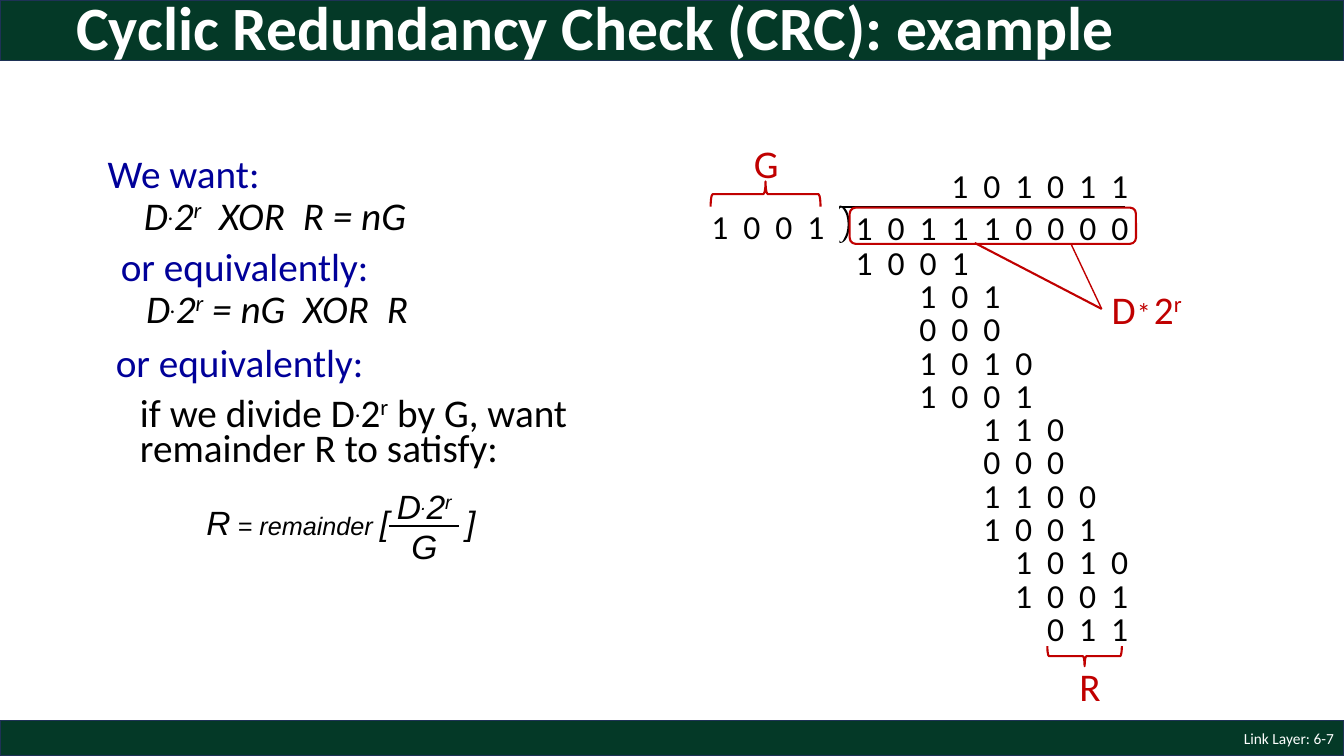
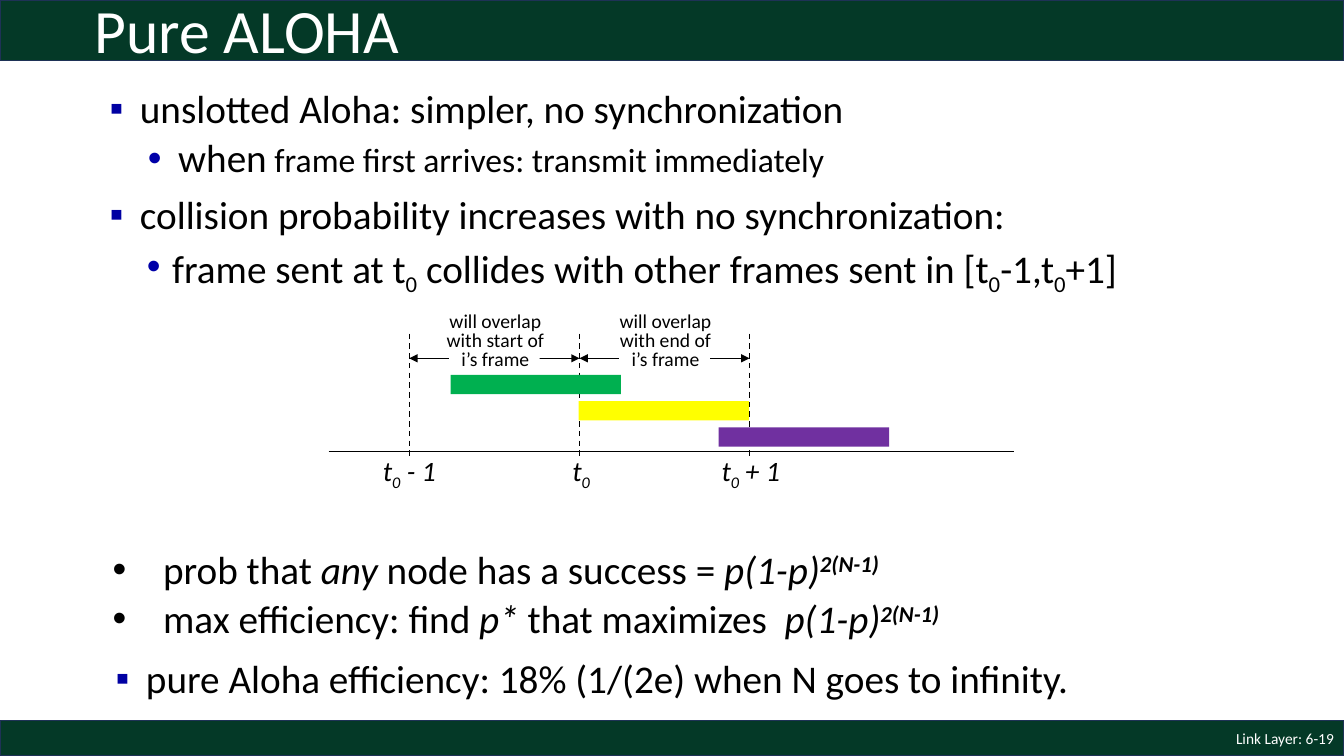
from dataclasses import dataclass
from typing import Optional, Sequence, Union

from lxml.etree import SubElement
from pptx import Presentation
from pptx.dml.color import RGBColor
from pptx.enum.dml import MSO_LINE
from pptx.enum.shapes import MSO_CONNECTOR, MSO_SHAPE
from pptx.enum.text import MSO_ANCHOR, PP_ALIGN
from pptx.oxml.ns import qn
from pptx.util import Emu, Inches, Pt

CELL = Inches(0.1)
COLUMNS, ROWS = 400 / 3, 75

BAND_GREEN = RGBColor(0x04, 0x39, 0x27)
BAND_EDGE = RGBColor(0x1E, 0x32, 0x56)
WHITE = RGBColor(0xFF, 0xFF, 0xFF)
BLACK = RGBColor(0x00, 0x00, 0x00)
NAVY = RGBColor(0x00, 0x00, 0x99)
CRIMSON = RGBColor(0xC0, 0x00, 0x00)
SQUARE_BLUE = RGBColor(0x00, 0x00, 0xA3)
DOT_BLUE = RGBColor(0x00, 0x00, 0xA8)
FRAME_GREEN = RGBColor(0x00, 0xB0, 0x50)
FRAME_YELLOW = RGBColor(0xFF, 0xFF, 0x00)
FRAME_PURPLE = RGBColor(0x70, 0x30, 0xA0)

BODY_FONT, FORMULA_FONT = "Calibri", "Arial"
DIGIT_PITCH = 19 / 6
DIGIT_TRACKING = 2.65
DIVIDEND_COLUMN = 83.9


@dataclass(frozen=True)
class Box:
    column: float
    row: float
    columns: float
    rows: float


@dataclass(frozen=True)
class Span:
    text: str
    italic: bool = False
    bold: bool = False
    base: int = 0
    size: Optional[float] = None
    color: Optional[RGBColor] = None
    tracking: float = 0


@dataclass(frozen=True)
class Para:
    spans: Sequence[Span]
    indent: float = 0
    hang: float = 0
    before: float = 0
    level: int = 0
    bullet: str = ""
    bullet_color: RGBColor = BLACK


@dataclass(frozen=True)
class DigitRow:
    place: int
    digits: str


@dataclass(frozen=True)
class Transmission:
    column: float
    color: RGBColor


@dataclass(frozen=True)
class Instant:
    column: float
    label_column: float
    suffix: str


WIDE_GAP = Span(" ", True, tracking=6.3)


def cells(count: float) -> Emu:
    return Emu(round(count * CELL))


def frame_of(box: Box) -> tuple:
    return cells(box.column), cells(box.row), cells(box.columns), cells(box.rows)


def add_text(slide, box: Box, text: Union[str, Sequence[Para]], *, size: float = 28,
             color: RGBColor = BLACK, font: str = BODY_FONT, bold: bool = False,
             align=PP_ALIGN.LEFT, anchor=MSO_ANCHOR.TOP, spacing: float = 1.0):
    area = slide.shapes.add_textbox(*frame_of(box))
    frame = area.text_frame
    frame.word_wrap = True
    frame.vertical_anchor = anchor
    if isinstance(text, str):
        text = [Para([Span(line, bold=bold)]) for line in text.split("\n")]
    for index, para in enumerate(text):
        paragraph = frame.add_paragraph() if index else frame.paragraphs[0]
        paragraph.alignment = align
        paragraph.line_spacing = spacing
        paragraph.space_before = Pt(para.before)
        paragraph.level = para.level
        format_indent(paragraph, para)
        for span in para.spans:
            run = paragraph.add_run()
            run.text = span.text
            run.font.name = font
            run.font.size = Pt(span.size or size)
            run.font.bold = span.bold
            run.font.italic = span.italic
            run.font.color.rgb = span.color or color
            if span.base:
                run._r.get_or_add_rPr().set("baseline", str(span.base * 1000))
            if span.tracking:
                run._r.get_or_add_rPr().set("spc", str(round(span.tracking * 100)))
    return area


def format_indent(paragraph, para: Para) -> None:
    properties = paragraph._p.get_or_add_pPr()
    properties.set("marL", str(cells(para.indent)))
    properties.set("indent", str(cells(para.hang)))
    if para.bullet:
        tint = SubElement(properties, qn("a:buClr"))
        SubElement(tint, qn("a:srgbClr"), val=str(para.bullet_color))
        SubElement(properties, qn("a:buFont"), typeface=FORMULA_FONT)
        SubElement(properties, qn("a:buChar"), char=para.bullet)
    else:
        SubElement(properties, qn("a:buNone"))


def add_block(slide, box: Box, kind=MSO_SHAPE.RECTANGLE, *, fill: Optional[RGBColor] = None,
              outline: Optional[RGBColor] = None, weight: float = 1.5, rotation: float = 0):
    block = slide.shapes.add_shape(kind, *frame_of(box))
    block.shadow.inherit = False
    block.rotation = rotation
    if fill is None:
        block.fill.background()
    else:
        block.fill.solid()
        block.fill.fore_color.rgb = fill
    if outline is None:
        block.line.fill.background()
    else:
        block.line.color.rgb = outline
        block.line.width = Pt(weight)
    return block


def add_rule(slide, start: tuple, end: tuple, *, color: RGBColor = BLACK,
             weight: float = 1, dashed: bool = False, arrows: bool = False):
    rule = slide.shapes.add_connector(MSO_CONNECTOR.STRAIGHT, *map(cells, start + end))
    rule.line.color.rgb = color
    rule.line.width = Pt(weight)
    if dashed:
        rule.line.dash_style = MSO_LINE.DASH
    if arrows:
        for tip in ("a:headEnd", "a:tailEnd"):
            SubElement(rule.line._get_or_add_ln(), qn(tip), type="triangle")
    SubElement(rule._element.spPr, qn("a:effectLst"))
    return rule


def add_digits(slide, column: float, row: float, digits: str) -> None:
    box = Box(column, row, DIGIT_PITCH * len(digits) + 2, 5)
    spaced = Span(" ".join(digits), tracking=DIGIT_TRACKING)
    add_text(slide, box, [Para([spaced])], size=24)


def start_slide(deck, title: str, number: str, column: float, row: float, bold: bool = False):
    slide = deck.slides.add_slide(deck.slide_layouts[6])
    for top, height in ((0, 6), (ROWS - 3.5, 3.5)):
        add_block(slide, Box(0, top, COLUMNS, height), fill=BAND_GREEN, outline=BAND_EDGE, weight=1)
    add_text(slide, Box(column, row, 115, 9.8), title, size=44, color=WHITE, bold=bold,
             anchor=MSO_ANCHOR.MIDDLE, spacing=0.9)
    add_text(slide, Box(COLUMNS - 30, ROWS - 3.5, 30, 3.5), f"Link Layer: {number}", size=11,
             color=WHITE, align=PP_ALIGN.RIGHT, anchor=MSO_ANCHOR.MIDDLE)
    return slide


def shifted_data(italic: bool = True) -> list:
    return [Span("D", italic), Span(".", italic, base=26), Span("2", italic),
            Span("r", italic, base=30)]


def add_conditions(slide) -> None:
    def heading(text: str, hang: float) -> Para:
        return Para([Span(text, color=NAVY)], 3.9, hang, before=10)

    def formula(*tail: Span) -> Para:
        return Para(shifted_data() + list(tail), 7.6, -2.5, before=5, level=1)

    xor = [WIDE_GAP, Span("XOR", True), WIDE_GAP]
    remainder = Para([Span("if we divide "), *shifted_data(False),
                      Span(" by G, want remainder R to satisfy:")], 5, before=10)
    conditions = (
        (Box(8.2, 15.4, 54.5, 11.4),
         [heading("We want:", -2.4), formula(*xor, Span("R = nG", True))]),
        (Box(8.4, 24.6, 54.5, 9.6),
         [heading("or equivalently:", -1.3), formula(Span(" = nG", True), *xor, Span("R", True))]),
        (Box(7.9, 34.2, 54.5, 13.7), [heading("or equivalently:", -1.3), remainder]),
    )
    for box, paragraphs in conditions:
        add_text(slide, box, paragraphs, spacing=0.75)

    add_text(slide, Box(34.8, 47.7, 14.6, 9), [Para(shifted_data()), Para([Span("G", True)])],
             size=24, font=FORMULA_FONT, align=PP_ALIGN.CENTER)
    add_rule(slide, (38.6, 52.2), (45.5, 52.2), weight=1.5)
    equation = [Span("R", True), Span(" = remainder ", True, size=18), Span("[", True),
                Span(" ", True, size=18, tracking=50), Span("]", True)]
    add_text(slide, Box(19.5, 49.3, 30.5, 5.2), [Para(equation)], size=24, font=FORMULA_FONT)


def add_long_division(slide) -> None:
    add_rule(slide, (83.5, 20.5), (111.6, 20.5), weight=1.5)
    bracket = add_block(slide, Box(81.6, 21.4, 3.5, 1.7), MSO_SHAPE.PIE,
                        outline=BLACK, rotation=270)
    bracket.adjustments[0] = 0
    bracket.adjustments[1] = 107.54
    add_block(slide, Box(83, 20.6, 0.9, 3.4), MSO_SHAPE.OVAL, fill=WHITE)

    add_digits(slide, 69.6, 19.9, "1001")
    add_digits(slide, DIVIDEND_COLUMN + 3 * DIGIT_PITCH, 15.9, "101011")
    add_digits(slide, DIVIDEND_COLUMN, 20, "101110000")
    steps = (
        DigitRow(0, "1001"), DigitRow(2, "101"), DigitRow(2, "000"), DigitRow(2, "1010"),
        DigitRow(2, "1001"), DigitRow(4, "110"), DigitRow(4, "000"), DigitRow(4, "1100"),
        DigitRow(4, "1001"), DigitRow(5, "1010"), DigitRow(5, "1001"), DigitRow(6, "011"),
    )
    for index, step in enumerate(steps):
        add_digits(slide, DIVIDEND_COLUMN + step.place * DIGIT_PITCH, 23.5 + 3.3 * index, step.digits)

    add_block(slide, Box(84.3, 20.6, 28.4, 3.6), MSO_SHAPE.ROUNDED_RECTANGLE, outline=CRIMSON)
    for box, rotation in ((Box(74.7, 13.8, 2.5, 10.9), 270), (Box(106.6, 61.4, 2, 7.4), 90)):
        add_block(slide, box, MSO_SHAPE.RIGHT_BRACE, outline=CRIMSON, rotation=rotation)
    add_text(slide, Box(73.8, 13.3, 5, 5.7), "G", color=CRIMSON)
    add_text(slide, Box(106.1, 65.2, 5, 5.7), "R", color=CRIMSON)
    data_label = add_text(slide, Box(109.3, 27.8, 5, 5.7), "D", color=CRIMSON)
    add_text(slide, Box(111.8, 28.8, 4, 4.4), "*", size=20, color=CRIMSON)
    add_text(slide, Box(113.5, 27.8, 6, 5.7), [Para([Span("2"), Span("r", base=30)])], color=CRIMSON)
    for start, weight in (((96.7, 24.1), 1.5), ((106.3, 24.3), 1)):
        pointer = add_rule(slide, start, (109.3, 30.65), color=CRIMSON, weight=weight)
        pointer.end_connect(data_label, 1)


def add_aloha_points(slide) -> None:
    def topic(text: str) -> Para:
        return Para([Span(text)], 4.4, -3, 10, 0, "▪", SQUARE_BLUE)

    def detail(spans: Sequence[Span], indent: float, hang: float) -> Para:
        return Para(spans, indent, hang, 5, 1, "•", DOT_BLUE)

    zero = Span("0", base=-25)
    arrival = [Span("when"), Span(" frame first arrives: transmit immediately", size=24)]
    collision = [Span("frame sent at t"), zero, Span(" collides with other frames sent in [t"),
                 zero, Span("-1,t"), zero, Span("+1]")]
    add_text(slide, Box(8.5, 8.4, 115, 25.3), [
        topic("unslotted Aloha: simpler, no synchronization"),
        detail(arrival, 8.2, -3),
        topic("collision probability increases with no synchronization:"),
        detail(collision, 7.6, -2.5),
    ], spacing=0.9)

    success = [Span("p(1-p)", True), Span("2(N-1)", True, True, 30)]
    findings = (
        [Span("prob that "), Span("any", True), Span(" node has a success = ")],
        [Span("max efficiency: find "), Span("p* ", True), Span("that maximizes"), WIDE_GAP],
    )
    for index, finding in enumerate(findings):
        add_text(slide, Box(4.5, 53.6 + 4.9 * index, 117.9, 5.7),
                 [Para(finding + success, 10.7, -5, level=1, bullet="•")])
    add_text(slide, Box(9.1, 64.9, 115, 6.8),
             [topic("pure Aloha efficiency: 18% (1/(2e) when N goes to infinity.")], spacing=0.9)


def add_collision_window(slide) -> None:
    instants = (Instant(40.6, 37, " - 1"), Instant(57.5, 55.8, ""), Instant(74.35, 70.6, " + 1"))
    for left, right, edge in zip(instants, instants[1:], ("start", "end")):
        middle = (left.column + right.column) / 2
        add_rule(slide, (left.column, 35.55), (right.column, 35.55), arrows=True)
        add_block(slide, Box(middle - 4.5, 35.2, 9, 0.6), fill=WHITE)
        add_text(slide, Box(middle - 6.9, 30.6, 14, 6.7),
                 f"will overlap\nwith {edge} of\ni’s frame",
                 size=14, align=PP_ALIGN.CENTER, spacing=0.8)
    add_rule(slide, (32.6, 44.8), (100.6, 44.8))
    for instant in instants:
        add_rule(slide, (instant.column, 33.1), (instant.column, 45.2), dashed=True)
        label = [Span("t", True), Span("0", True, base=-25)]
        if instant.suffix:
            label.append(Span(instant.suffix, True))
        add_text(slide, Box(instant.label_column, 44.5, 10, 4.4), [Para(label)], size=20)
    transmissions = (Transmission(44.7, FRAME_GREEN), Transmission(57.4, FRAME_YELLOW),
                     Transmission(71.3, FRAME_PURPLE))
    for index, sent in enumerate(transmissions):
        add_block(slide, Box(sent.column, 37.2 + 2.6 * index, 16.9, 1.9), fill=sent.color)


def main() -> None:
    deck = Presentation()
    deck.slide_width, deck.slide_height = cells(COLUMNS), cells(ROWS)
    crc = start_slide(deck, "Cyclic Redundancy Check (CRC): example", "6-7", 6.6, -1.9, bold=True)
    add_conditions(crc)
    add_long_division(crc)
    aloha = start_slide(deck, "Pure ALOHA", "6-19", 8.4, -1.6)
    add_aloha_points(aloha)
    add_collision_window(aloha)
    deck.save("out.pptx")


if __name__ == "__main__":
    main()
